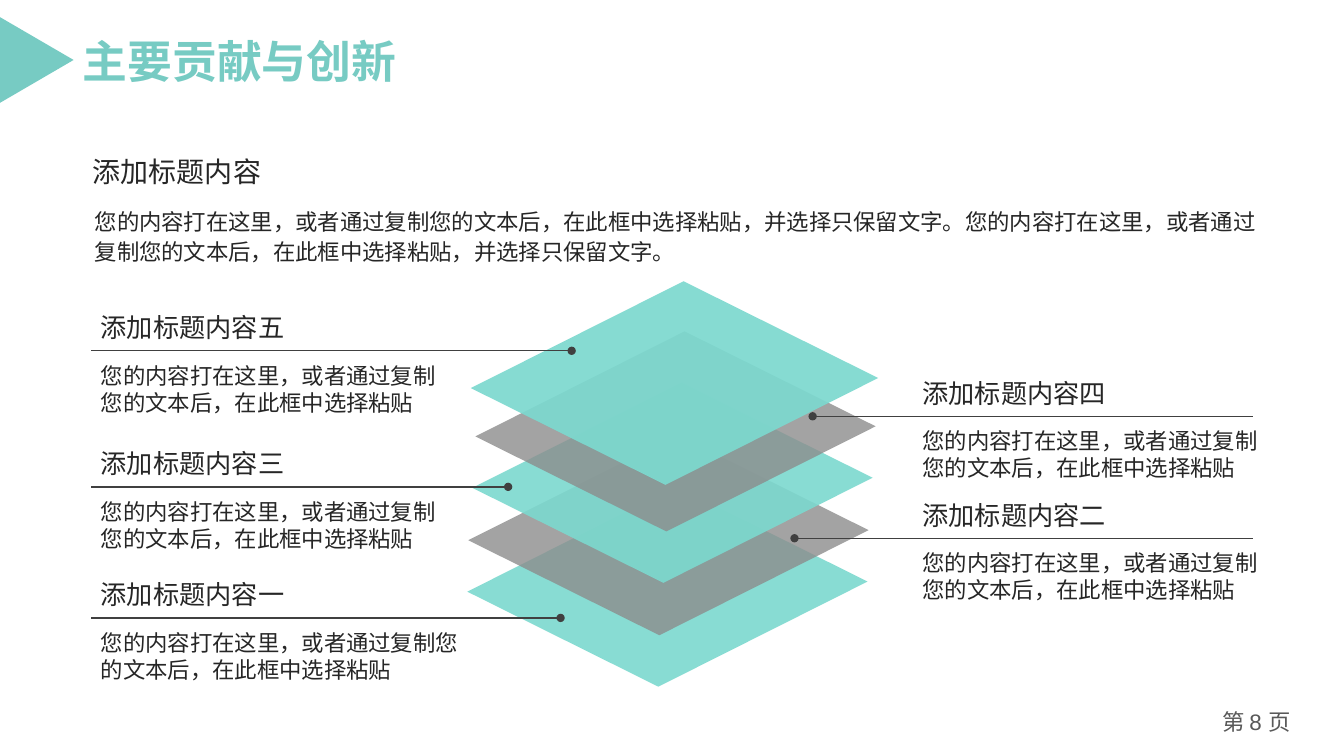
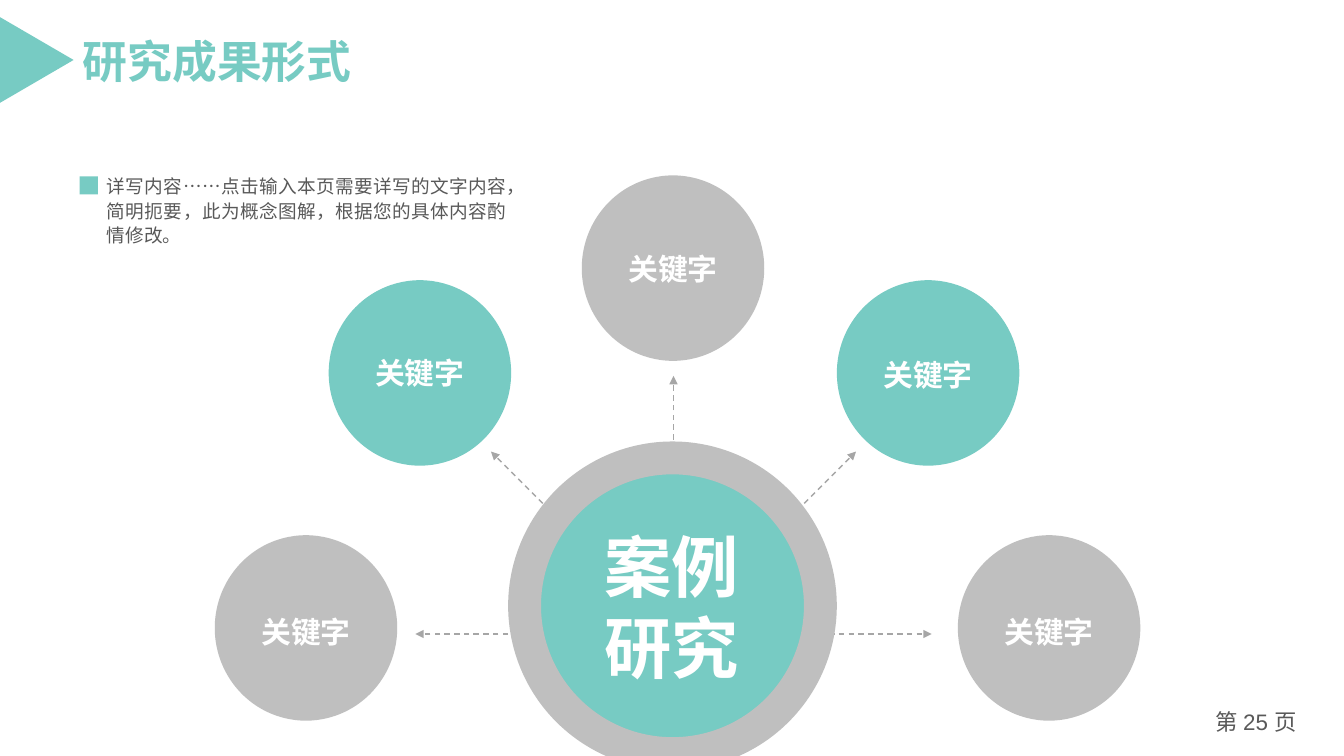
import lxml.etree
import pptx
import pptx.dml.color
import pptx.enum.dml
import pptx.enum.shapes
import pptx.enum.text
import pptx.oxml.ns
import pptx.util

Inches = pptx.util.Inches
Pt = pptx.util.Pt
SHAPE = pptx.enum.shapes.MSO_SHAPE
ALIGN = pptx.enum.text.PP_ALIGN
qn = pptx.oxml.ns.qn

CJK = "Noto Sans CJK SC"
LATIN = "Arial"
TEAL = "77CBC3"
LIGHT_TEAL = "7CD9CF"
LAYER_GREY = "8C8C8C"
CIRCLE_GREY = "BFBFBF"
ARROW_GREY = "A6A6A6"
RULE_GREY = "404040"
INK = "262626"
SOFT_INK = "595959"
WHITE = "FFFFFF"

BODY = "您的内容打在这里，或者通过复制您的文本后，在此框中选择粘贴"


def rgb(value):
    return pptx.dml.color.RGBColor.from_string(value)


def style_run(run, size, color, bold=False, latin=CJK):
    run.font.size = Pt(size)
    run.font.bold = bold
    run.font.color.rgb = rgb(color)
    run.font.name = latin
    properties = run.font._element if hasattr(run.font, "_element") else run._r.get_or_add_rPr()
    lxml.etree.SubElement(properties, qn("a:ea")).set("typeface", CJK)


def set_insets(frame, horizontal, vertical):
    frame.margin_left = frame.margin_right = Inches(horizontal)
    frame.margin_top = frame.margin_bottom = Inches(vertical)


def add_text(slide, box, text, size, color=INK, bold=False, latin=CJK,
             wrap=True, insets=(0.13, 0.07)):
    """Place a one-paragraph text box and return its paragraph."""
    frame = slide.shapes.add_textbox(*map(Inches, box)).text_frame
    frame.word_wrap = wrap
    set_insets(frame, *insets)
    paragraph = frame.paragraphs[0]
    paragraph.text = text
    style_run(paragraph.runs[0], size, color, bold, latin)
    return paragraph


def paint(shape, color):
    shape.shadow.inherit = False
    shape.fill.solid()
    shape.fill.fore_color.rgb = rgb(color)
    shape.line.fill.background()


def add_shape(slide, kind, box, color):
    shape = slide.shapes.add_shape(kind, *map(Inches, box))
    paint(shape, color)
    return shape


def add_line(slide, start, end, color, head=None, tail=None, dashed=False):
    connector = slide.shapes.add_connector(
        pptx.enum.shapes.MSO_CONNECTOR.STRAIGHT, *map(Inches, (*start, *end)))
    connector.line.color.rgb = rgb(color)
    connector.line.width = Pt(1)
    if dashed:
        connector.line.dash_style = pptx.enum.dml.MSO_LINE.DASH
    properties = connector._element.spPr
    line = properties.find(qn("a:ln"))
    for tag, kind in (("a:headEnd", head), ("a:tailEnd", tail)):
        if kind:
            lxml.etree.SubElement(line, qn(tag)).set("type", kind)
    lxml.etree.SubElement(properties, qn("a:effectLst"))


def add_circle(slide, box, color, label, size, drop=0.0):
    """Draw a circle whose bold white label sits drop inches below its centre."""
    circle = add_shape(slide, SHAPE.OVAL, box, color)
    frame = circle.text_frame
    frame.word_wrap = True
    set_insets(frame, 0.1, 0)
    frame.margin_top = Inches(2 * drop)
    frame.vertical_anchor = pptx.enum.text.MSO_ANCHOR.MIDDLE
    paragraph = frame.paragraphs[0]
    paragraph.text = label
    paragraph.alignment = ALIGN.CENTER
    style_run(paragraph.runs[0], size, WHITE, True)


def add_base_slide(presentation, title, number):
    """Add a blank slide with the title, its marker and the page number."""
    slide = presentation.slides.add_slide(presentation.slide_layouts[6])
    paragraph = add_text(slide, (11.86, 6.98, 1.2, 0.4), "第 ", 16, SOFT_INK,
                         insets=(0.1, 0.05))
    paragraph.alignment = ALIGN.CENTER
    for text, latin in ((f"{number} ", LATIN), ("页", CJK)):
        run = paragraph.add_run()
        run.text = text
        style_run(run, 16, SOFT_INK, latin=latin)
    add_text(slide, (0.69, 0.26, 3.41, 0.67), title, 32, TEAL, True, LATIN, wrap=False)
    marker = add_shape(slide, SHAPE.ISOSCELES_TRIANGLE, (-0.06, 0.23, 0.85, 0.73), TEAL)
    marker.rotation = 90
    return slide


def add_layer(slide, center, width, color, opacity):
    """Draw one tilted sheet, half as high as it is wide."""
    x, y = center
    half_width, half_height = width / 2, width / 4
    lean, tilt = 0.09, 0.05
    corners = [(x + lean, y - half_height), (x + half_width, y - tilt),
               (x - lean, y + half_height), (x - half_width, y + tilt)]
    points = [(Inches(a), Inches(b)) for a, b in corners]
    builder = slide.shapes.build_freeform(*points[0])
    builder.add_line_segments(points[1:], close=True)
    sheet = builder.convert_to_shape()
    paint(sheet, color)
    fill = sheet._element.spPr.find(qn("a:solidFill")).find(qn("a:srgbClr"))
    lxml.etree.SubElement(fill, qn("a:alpha")).set("val", str(opacity * 1000))


def add_callout(slide, left, rule_y, title, body_width, rule_start, rule_end):
    """Place a heading above a rule and a text below it."""
    add_line(slide, (rule_start, rule_y), (rule_end, rule_y), RULE_GREY, head="oval")
    add_text(slide, (left, rule_y - 0.46, 2.5, 0.45), title, 18.7)
    add_text(slide, (left, rule_y + 0.04, body_width, 0.67), BODY, 16)


def build_contributions(presentation):
    slide = add_base_slide(presentation, "主要贡献与创新", 8)
    add_text(slide, (0.79, 1.46, 1.95, 0.47), "添加标题内容", 20, wrap=False)
    intro = f"{BODY}，并选择只保留文字。" * 2
    add_text(slide, (0.81, 1.97, 11.84, 0.73), intro, 16).line_spacing = 1.1

    layers = [
        ((6.62, 5.82), 3.97, LIGHT_TEAL, 90),
        ((6.63, 5.31), 3.97, LAYER_GREY, 80),
        ((6.67, 4.79), 3.97, LIGHT_TEAL, 90),
        ((6.70, 4.28), 3.97, LAYER_GREY, 80),
        ((6.69, 3.80), 4.04, LIGHT_TEAL, 92),
    ]
    for layer in layers:
        add_layer(slide, *layer)

    left, right = (0.87, 0.9), (9.02, 12.43)
    callouts = [
        (left, 3.48, "五", 3.61, 5.67),
        (left, 4.83, "三", 3.61, 5.04),
        (left, 6.13, "一", 3.82, 5.56),
        (right, 4.13, "四", 3.65, 8.06),
        (right, 5.34, "二", 3.65, 7.88),
    ]
    for (text_left, rule_end), rule_y, numeral, width, dot in callouts:
        add_callout(slide, text_left, rule_y, f"添加标题内容{numeral}", width, dot, rule_end)


def build_outcomes(presentation):
    slide = add_base_slide(presentation, "研究成果形式", 25)
    add_shape(slide, SHAPE.RECTANGLE, (0.79, 1.75, 0.18, 0.18), TEAL)
    note = add_text(
        slide, (1.06, 1.72, 3.97, 0.72),
        "详写内容……点击输入本页需要详写的文字内容，简明扼要，此为概念图解，根据您的具体内容酌情修改。",
        13.3, SOFT_INK, insets=(0, 0))
    note.alignment = ALIGN.JUSTIFY
    note.line_spacing = Pt(17.3)

    hub_x, hub_y = 6.68, 6.29
    straight, diagonal = 2.56, 1.81
    for dx, dy in ((-straight, 0), (-diagonal, -diagonal), (0, -straight),
                   (diagonal, -diagonal), (straight, 0)):
        add_line(slide, (hub_x, hub_y), (hub_x + dx, hub_y + dy), ARROW_GREY,
                 tail="triangle", dashed=True)

    add_circle(slide, (5.3, 4.65, 2.73, 2.73), TEAL, "案例研究", 48)
    ring = add_shape(slide, SHAPE.DONUT, (5.04, 4.38, 3.26, 3.26), CIRCLE_GREY)
    ring.adjustments[0] = 0.1

    keywords = [
        (2.13, 5.31, CIRCLE_GREY, 0.04),
        (3.26, 2.78, TEAL, 0),
        (5.77, 1.74, CIRCLE_GREY, 0),
        (8.3, 2.78, TEAL, 0.02),
        (9.5, 5.31, CIRCLE_GREY, 0.04),
    ]
    for left, top, color, drop in keywords:
        add_circle(slide, (left, top, 1.81, 1.84), color, "关键字", 21.3, drop)


def main():
    presentation = pptx.Presentation()
    presentation.slide_width = Inches(13.33)
    presentation.slide_height = Inches(7.5)
    build_contributions(presentation)
    build_outcomes(presentation)
    presentation.save("out.pptx")


if __name__ == "__main__":
    main()
